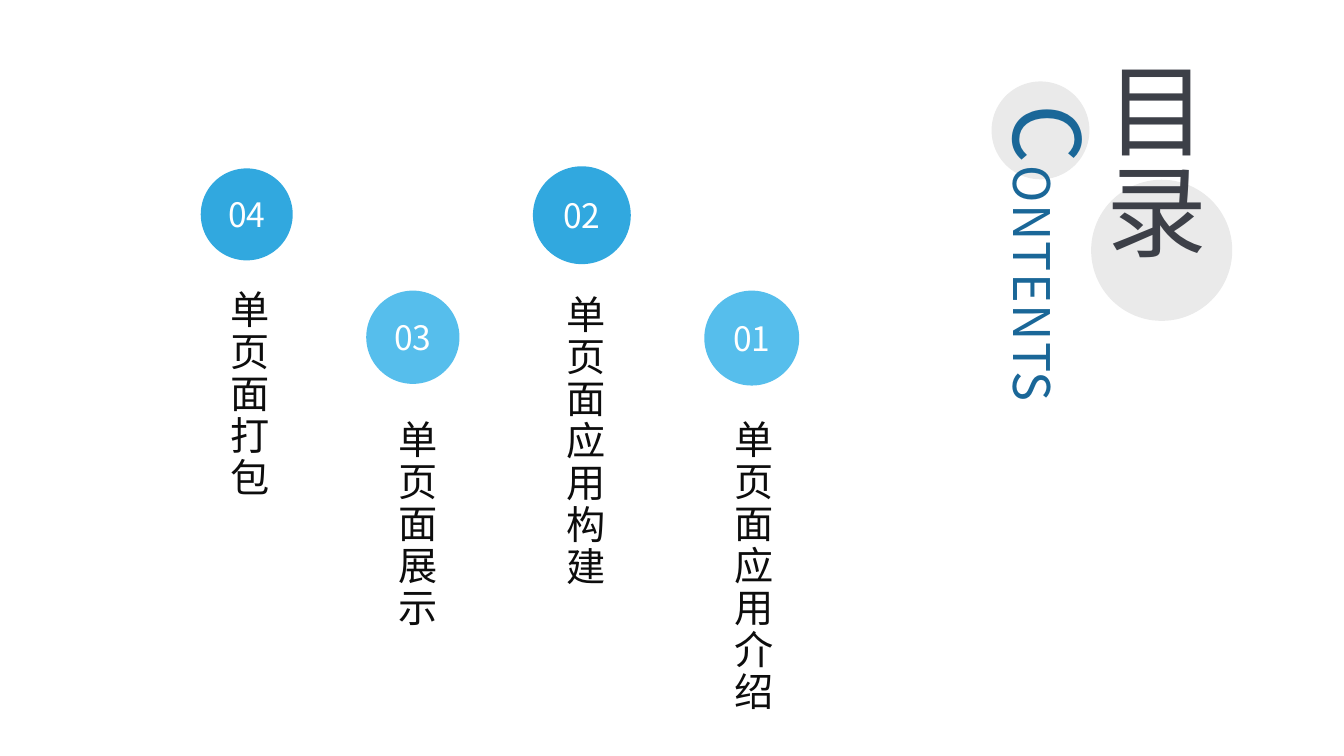
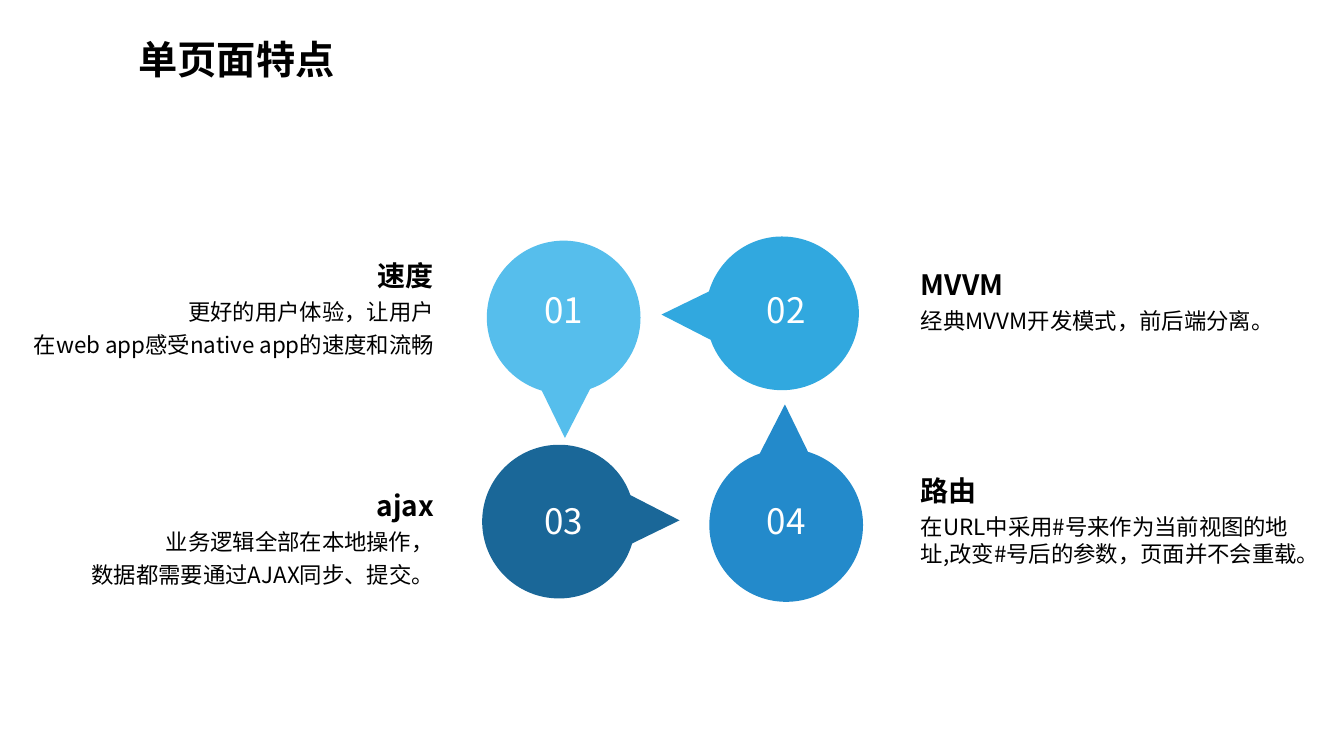
from dataclasses import dataclass
from typing import Any, NamedTuple, Optional

import lxml.etree
import pptx
import pptx.dml.color
import pptx.enum.shapes
import pptx.enum.text
import pptx.oxml.ns
import pptx.util

COLUMNS, ROWS = 160, 90
CELL = pptx.util.Inches(1 / 12)
FONT = "Noto Sans CJK SC"
COMPARISON_LAYOUT = 4  # a title and four body placeholders
BODY_INDEXES = (1, 2, 3, 4)

BLACK, INK, SLATE, WHITE, GREY = "000000", "0D0D0D", "3D4048", "FFFFFF", "EAEAEA"
SKY, AZURE, COBALT, NAVY = "56BEEC", "31A8DF", "238ACB", "1A6798"

ALIGN = pptx.enum.text.PP_ALIGN
ANCHOR = pptx.enum.text.MSO_ANCHOR


class Area(NamedTuple):
    """A rectangle in grid columns and rows."""
    column: float
    row: float
    width: float
    height: float


class Span(NamedTuple):
    text: str
    size: float
    color: str = BLACK
    bold: bool = False
    tracking: float = 0


@dataclass(frozen=True)
class Style:
    align: Any = ALIGN.LEFT
    anchor: Any = ANCHOR.TOP
    side_inset: float = 0
    top_inset: float = 0
    vertical: bool = False
    leading: Optional[float] = None
    gap: float = 0


@dataclass(frozen=True)
class Chapter:
    number: str
    name: str
    color: str
    column: float
    row: float
    diameter: float
    name_row: float


@dataclass(frozen=True)
class Feature:
    heading: str
    lines: tuple[str, ...]
    row: float
    on_left: bool


@dataclass(frozen=True)
class Pin:
    number: str
    color: str
    column: float
    row: float
    rotation: int
    number_column: float
    number_row: float


COLUMN_TEXT = Style(anchor=ANCHOR.MIDDLE, vertical=True)
COVER_TITLE = Style(anchor=ANCHOR.MIDDLE, side_inset=1.2, top_inset=0.6, vertical=True)
PAGE_TITLE = Style(side_inset=1.2, top_inset=0.6, leading=1.2)
BADGE_TEXT = Style(align=ALIGN.CENTER, anchor=ANCHOR.MIDDLE)
PIN_TEXT = Style(align=ALIGN.CENTER, leading=1.2)

NAME_COLUMN, NAME_STEP = 24.1, 20
CHAPTERS = (
    Chapter("01", "单页面应用介绍", SKY, 83.85, 34.6, 11.3, 50.05),
    Chapter("02", "单页面应用构建", AZURE, 63.45, 19.8, 11.65, 35.1),
    Chapter("03", "单页面展示", SKY, 43.6, 34.6, 11.1, 50.05),
    Chapter("04", "单页面打包", AZURE, 23.9, 20.05, 10.95, 34.5),
)

FEATURES = (
    Feature("速度", ("更好的用户体验，让用户",
                   "在web app感受native app的速度和流畅"), 30.25, True),
    Feature("MVVM", ("经典MVVM开发模式，前后端分离。",), 31.3, False),
    Feature("ajax", ("业务逻辑全部在本地操作，",
                     "数据都需要通过AJAX同步、提交。"), 57.6, True),
    Feature("路由", ("在URL中采用#号来作为当前视图的地址,"
                   "改变#号后的参数，页面并不会重载。",), 55.85, False),
)

# Tip, right foot, then three points for each of the four arcs of the disc.
PIN_OUTLINE = (
    (9, 0), (11.75, 5.65),
    (15.6, 6.8), (18.3, 10.3), (18.3, 14.35),
    (18.3, 19.4), (14.2, 23.5), (9.15, 23.5),
    (4.1, 23.5), (0, 19.4), (0, 14.35),
    (0, 10.4), (2.5, 7.05), (6, 5.85),
)
LEFT_NUMBER, RIGHT_NUMBER = 63.3, 89.8
TOP_NUMBER, BOTTOM_NUMBER = 34.4, 59.5
PINS = (
    Pin("01", SKY, 57.95, 28.65, 180, LEFT_NUMBER, TOP_NUMBER),
    Pin("02", AZURE, 81.35, 25.55, 270, RIGHT_NUMBER, TOP_NUMBER),
    Pin("04", COBALT, 84.45, 48.15, 0, RIGHT_NUMBER, BOTTOM_NUMBER),
    Pin("03", NAVY, 60, 50.35, 90, LEFT_NUMBER, BOTTOM_NUMBER),
)


def cells(count: float) -> int:
    return round(count * CELL)


def rgb(color: str) -> pptx.dml.color.RGBColor:
    return pptx.dml.color.RGBColor.from_string(color)


def place(box, area: Area) -> None:
    box.left, box.top, box.width, box.height = map(cells, area)


def paint(shape, color: str) -> None:
    shape.shadow.inherit = False
    shape.fill.solid()
    shape.fill.fore_color.rgb = rgb(color)
    shape.line.fill.background()


def add_span(para, span: Span) -> None:
    run = para.add_run()
    run.text = span.text
    run.font.name = FONT
    run.font.size = pptx.util.Pt(span.size)
    run.font.bold = span.bold
    run.font.color.rgb = rgb(span.color)
    properties = run._r.get_or_add_rPr()
    if span.tracking:
        properties.set("spc", str(round(span.tracking * 100)))
    latin = properties.find(pptx.oxml.ns.qn("a:latin"))
    latin.addnext(lxml.etree.Element(pptx.oxml.ns.qn("a:ea"), typeface=FONT))


def write(box, paragraphs: list[list[Span]], style: Style) -> None:
    frame = box.text_frame
    frame.auto_size = pptx.enum.text.MSO_AUTO_SIZE.NONE
    frame.word_wrap = True
    frame.vertical_anchor = style.anchor
    frame.margin_left = frame.margin_right = cells(style.side_inset)
    frame.margin_top = frame.margin_bottom = cells(style.top_inset)
    if style.vertical:
        body = next(box.element.iter(pptx.oxml.ns.qn("a:bodyPr")))
        body.set("vert", "eaVert")
    for index, spans in enumerate(paragraphs):
        para = frame.add_paragraph() if index else frame.paragraphs[0]
        properties = para._p.get_or_add_pPr()
        properties.set("marL", "0")
        properties.set("indent", "0")
        lxml.etree.SubElement(properties, pptx.oxml.ns.qn("a:buNone"))
        para.alignment = style.align
        para.space_before = pptx.util.Pt(style.gap if index else 0)
        if style.leading:
            largest = max(span.size for span in spans)
            para.line_spacing = pptx.util.Pt(largest * style.leading)
        for span in spans:
            add_span(para, span)


def add_text(page, area: Area, spans: list[Span], style: Style) -> None:
    write(page.shapes.add_textbox(*map(cells, area)), [spans], style)


def set_title(page, area: Area, span: Span, style: Style) -> None:
    """Fill the title placeholder and bring it in front of what is drawn so far."""
    title = page.shapes.title
    place(title, area)
    write(title, [[span]], style)
    title.element.getparent().append(title.element)


def add_circle(page, column: float, row: float, diameter: float, color: str):
    circle = page.shapes.add_shape(
        pptx.enum.shapes.MSO_SHAPE.OVAL,
        *map(cells, Area(column, row, diameter, diameter)))
    paint(circle, color)
    return circle


def bend(shape) -> None:
    """Join every three line points after the first line into one curve."""
    lines = list(shape.element.iter(pptx.oxml.ns.qn("a:lnTo")))[1:]
    for first, second, third in zip(lines[::3], lines[1::3], lines[2::3]):
        curve = lxml.etree.Element(pptx.oxml.ns.qn("a:cubicBezTo"))
        first.addprevious(curve)
        for line in (first, second, third):
            curve.append(line[0])
            line.getparent().remove(line)


def add_pin(page, pin: Pin) -> None:
    """Draw a disc with a pointed tip at the top, turned by the pin's rotation."""
    tip, *rim = [(cells(x), cells(y)) for x, y in PIN_OUTLINE]
    builder = page.shapes.build_freeform(*tip)
    builder.add_line_segments(rim, close=True)
    shape = builder.convert_to_shape(cells(pin.column), cells(pin.row))
    bend(shape)
    shape.rotation = pin.rotation
    paint(shape, pin.color)
    add_text(page, Area(pin.number_column, pin.number_row, 7.6, 5),
             [Span(pin.number, 25, WHITE)], PIN_TEXT)


def build_contents(page) -> None:
    add_circle(page, 129.9, 21.4, 16.8, GREY)
    add_circle(page, 118.05, 9.7, 11.65, GREY)
    add_text(page, Area(118.1, 12.5, 13.8, 65),
             [Span("C", 66, NAVY, tracking=1), Span("ONTENTS", 36, NAVY, tracking=1)],
             COLUMN_TEXT)
    set_title(page, Area(127.9, 6.5, 18.8, 30.6), Span("目录", 72, SLATE), COVER_TITLE)
    for index, chapter in zip(BODY_INDEXES, CHAPTERS):
        badge = add_circle(page, chapter.column, chapter.row,
                           chapter.diameter, chapter.color)
        write(badge, [[Span(chapter.number, 24, WHITE)]], BADGE_TEXT)
        name = page.placeholders[index]
        column = NAME_COLUMN + NAME_STEP * (len(CHAPTERS) - index)
        place(name, Area(column, chapter.name_row, 11, 38))
        write(name, [[Span(chapter.name, 28, INK, tracking=2)]], COLUMN_TEXT)


def build_features(page) -> None:
    for pin in PINS:
        add_pin(page, pin)
    set_title(page, Area(15.3, 3.6, 60, 6.8), Span("单页面特点", 28, bold=True), PAGE_TITLE)
    for index, feature in zip(BODY_INDEXES, FEATURES):
        column, width = (0, 52.5) if feature.on_left else (108.8, 47.6)
        style = Style(align=ALIGN.RIGHT if feature.on_left else ALIGN.LEFT,
                      side_inset=0.84, top_inset=0.5, leading=1.2, gap=4.5)
        box = page.placeholders[index]
        place(box, Area(column, feature.row, width, 13.1))
        paragraphs = [[Span(feature.heading, 20, bold=True)]]
        paragraphs += [[Span(line, 16)] for line in feature.lines]
        write(box, paragraphs, style)


def main() -> None:
    deck = pptx.Presentation()
    deck.slide_width, deck.slide_height = cells(COLUMNS), cells(ROWS)
    layout = deck.slide_layouts[COMPARISON_LAYOUT]
    for build in (build_contents, build_features):
        build(deck.slides.add_slide(layout))
    deck.save("out.pptx")


if __name__ == "__main__":
    main()
